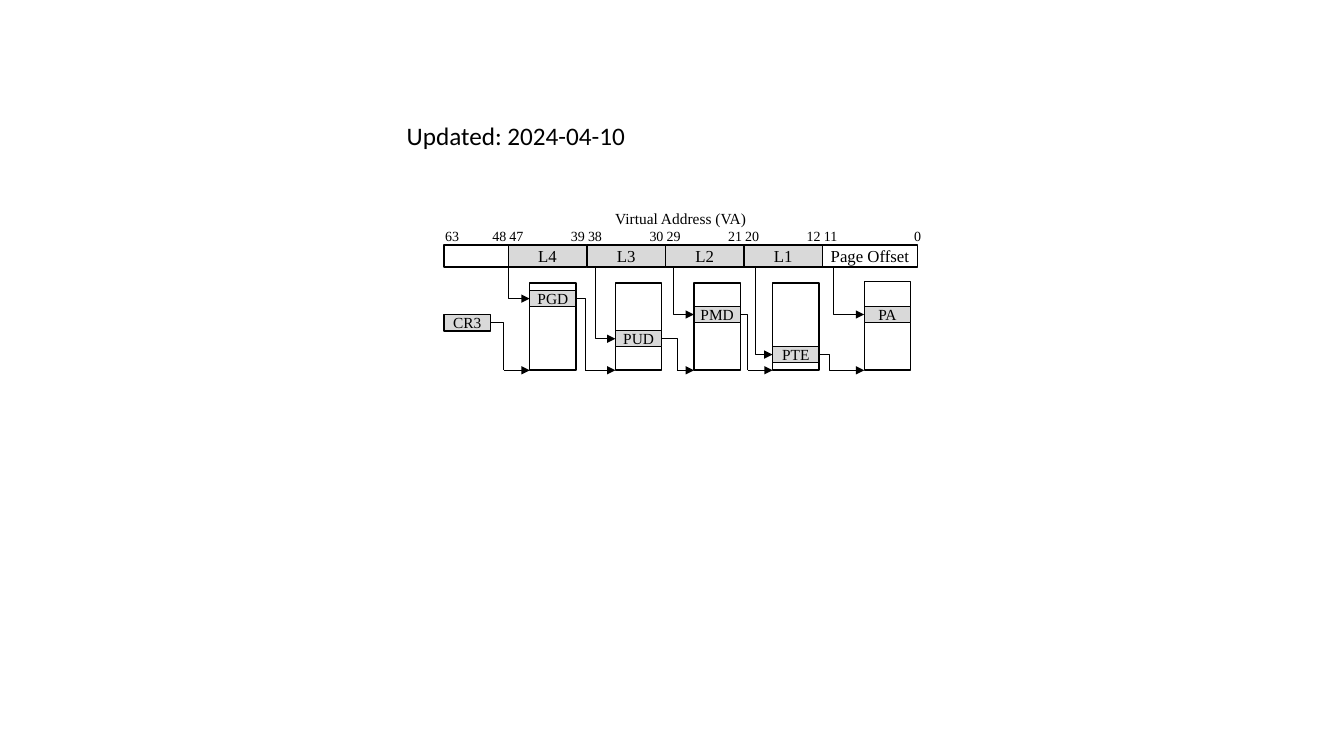
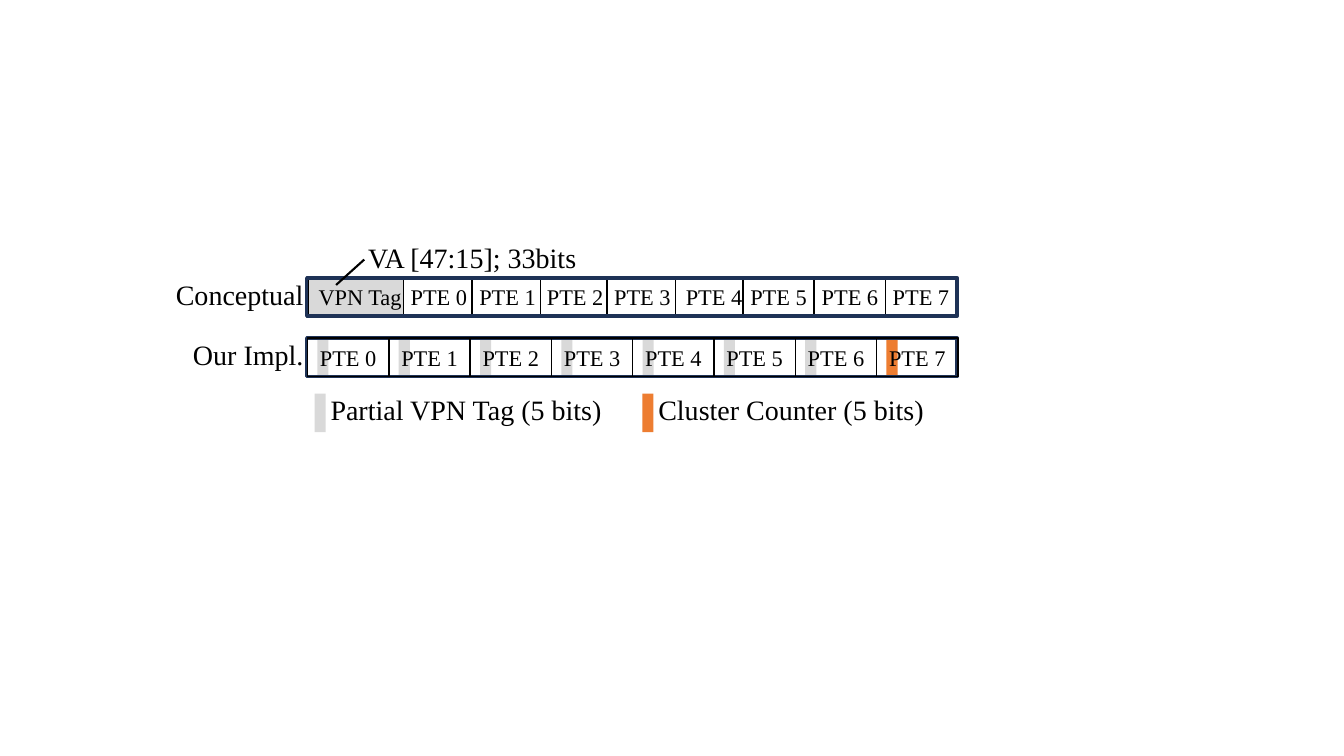
from itertools import accumulate

from lxml import etree
from pptx import Presentation
from pptx.dml.color import RGBColor
from pptx.enum import shapes, text
from pptx.oxml import ns
from pptx.util import Cm, Pt

BLACK = RGBColor(0x00, 0x00, 0x00)
WHITE = RGBColor(0xFF, 0xFF, 0xFF)
GRAY = RGBColor(0xD9, 0xD9, 0xD9)
ORANGE = RGBColor(0xED, 0x7D, 0x31)
NAVY = RGBColor(0x1E, 0x32, 0x56)
SERIF = "Times New Roman"
CENTER, LEFT, RIGHT = text.PP_ALIGN.CENTER, text.PP_ALIGN.LEFT, text.PP_ALIGN.RIGHT
TOP, MIDDLE = text.MSO_ANCHOR.TOP, text.MSO_ANCHOR.MIDDLE
STRAIGHT, ELBOW = shapes.MSO_CONNECTOR.STRAIGHT, shapes.MSO_CONNECTOR.ELBOW
ONE_BEND, TWO_BENDS = "bentConnector2", "bentConnector3"

ADDRESS_FIELDS = [
    ("", 63, 48, 1.62, WHITE),
    ("L4", 47, 39, 1.98, GRAY),
    ("L3", 38, 30, 1.98, GRAY),
    ("L2", 29, 21, 1.98, GRAY),
    ("L1", 20, 12, 1.98, GRAY),
    ("Page Offset", 11, 0, 2.39, WHITE),
]
PAGE_TABLES = [
    ("PGD", 2.16, 1.87, 2.06, 1.62, 1.5, ONE_BEND),
    ("PUD", 4.32, 1.87, 3.07, 3.81, 3.56, ONE_BEND),
    ("PMD", 6.3, 1.87, 2.46, 5.79, 5.87, ONE_BEND),
    ("PTE", 8.28, 1.87, 3.47, 7.85, 7.65, ONE_BEND),
    ("PA", 10.59, 1.83, 2.46, 9.8, 9.95, TWO_BENDS),
]
CONCEPTUAL_CELLS = [
    (2.44, 1.78), (4.17, 1.78), (5.89, 1.75), (7.57, 1.78),
    (9.3, 1.93), (11, 1.78), (12.8, 1.78), (14.58, 1.8),
]


def write(shape, content, size=11, font=SERIF, align=CENTER, anchor=MIDDLE,
          spacing=None, wrap=True, insets=(0, 0, 0, 0)):
    """Put one formatted paragraph into a shape."""
    frame = shape.text_frame
    frame.word_wrap = wrap
    frame.vertical_anchor = anchor
    (frame.margin_left, frame.margin_top,
     frame.margin_right, frame.margin_bottom) = (Cm(inset) for inset in insets)
    paragraph = frame.paragraphs[0]
    paragraph.alignment = align
    if spacing:
        paragraph.line_spacing = spacing
    run = paragraph.add_run()
    run.text = content
    run.font.name = font
    run.font.size = Pt(size)
    run.font.color.rgb = BLACK


def add_label(slide, content, left, top, width, height, **style):
    """Add a text box."""
    box = slide.shapes.add_textbox(Cm(left), Cm(top), Cm(width), Cm(height))
    write(box, content, **style)


def add_box(slide, left, top, width, height, fill=None, line=BLACK, weight=1,
            content="", **style):
    """Add a rectangle, with text when given."""
    box = slide.shapes.add_shape(shapes.MSO_SHAPE.RECTANGLE,
                                 Cm(left), Cm(top), Cm(width), Cm(height))
    box.shadow.inherit = False
    if fill is None:
        box.fill.background()
    else:
        box.fill.solid()
        box.fill.fore_color.rgb = fill
    if line is None:
        box.line.fill.background()
    else:
        box.line.color.rgb = line
        box.line.width = Pt(weight)
    if content:
        write(box, content, **style)


def add_line(slide, start, end, weight=0.5, arrow=False, kind=STRAIGHT):
    """Add a connector, optionally with an arrowhead, and return it."""
    connector = slide.shapes.add_connector(
        kind, *(Cm(value) for value in (*start, *end)))
    connector.line.color.rgb = BLACK
    connector.line.width = Pt(weight)
    properties = connector.element.spPr
    if arrow:
        outline = properties.find(ns.qn("a:ln"))
        etree.SubElement(outline, ns.qn("a:tailEnd"), type="triangle")
    etree.SubElement(properties, ns.qn("a:effectLst"))
    return connector


def add_elbow(slide, start, end, preset=ONE_BEND):
    """Add an elbow that leaves its start sideways, and return it."""
    connector = add_line(slide, start, end, kind=ELBOW)
    connector.element.spPr.find(ns.qn("a:prstGeom")).set("prst", preset)
    return connector


def add_drop_arrow(slide, start, end):
    """Add an arrow that runs down and then right, as a turned elbow."""
    center_x, center_y = (start[0] + end[0]) / 2, (start[1] + end[1]) / 2
    half_width, half_height = (end[1] - start[1]) / 2, (end[0] - start[0]) / 2
    connector = add_line(slide, (center_x - half_width, center_y - half_height),
                         (center_x + half_width, center_y + half_height),
                         arrow=True, kind=ELBOW)
    properties = connector.element.spPr
    properties.find(ns.qn("a:prstGeom")).set("prst", ONE_BEND)
    transform = properties.find(ns.qn("a:xfrm"))
    transform.set("rot", str(270 * 60000))
    transform.set("flipH", "1")


def draw_address_bar(slide, left, top):
    """Draw the virtual address with its fields and bit numbers."""
    widths = [field[3] for field in ADDRESS_FIELDS]
    starts = accumulate(widths[:-1], initial=left)
    add_label(slide, "Virtual Address (VA)", left, top, sum(widths), 0.48, anchor=TOP)
    for start, (name, high, low, width, fill) in zip(starts, ADDRESS_FIELDS):
        add_box(slide, start, top + 0.91, width, 0.56, fill, content=name, size=12)
        low_shift = 0.43 if low else 0.2
        for bit, bit_left in ((high, start), (low, start + width - low_shift)):
            add_label(slide, str(bit), bit_left, top + 0.47, 0.41, 0.43,
                      size=10, anchor=TOP)


def draw_page_walk(slide, left, top):
    """Draw the page tables and the arrows that lead through them."""
    width, height = 1.17, 0.41
    base, bar_bottom = top + 4.07, top + 1.47
    source_left, source_top = left, top + 2.67
    add_box(slide, source_left, source_top, width, height, GRAY, content="CR3")
    for name, table_x, table_y, entry_y, drop_x, feed_x, preset in PAGE_TABLES:
        table_left, table_top, entry_top = left + table_x, top + table_y, top + entry_y
        add_box(slide, table_left, table_top, width, base - table_top, WHITE)
        add_box(slide, table_left, entry_top, width, height, GRAY, content=name)
        add_drop_arrow(slide, (left + drop_x, bar_bottom),
                       (table_left, entry_top + height / 2))
        corner = (left + feed_x, base)
        add_elbow(slide, (source_left + width, source_top + height / 2), corner, preset)
        add_line(slide, corner, (table_left, base), arrow=True)
        source_left, source_top = table_left, entry_top


def draw_row_label(slide, content, left, top, height):
    """Write a row's name to the left of the row."""
    add_label(slide, content, left - 3.68, top, 3.6, height,
              size=20, align=RIGHT, spacing=0.8)


def draw_conceptual_row(slide, left, top, width, height):
    """Draw the cluster with one full tag and eight entries."""
    add_box(slide, left + 0.03, top, 2.49, height, GRAY, content="VPN Tag",
            size=16, insets=(0.14, 0, 0, 0))
    for index, (start, cell_width) in enumerate(CONCEPTUAL_CELLS):
        add_box(slide, left + start, top, cell_width, height, WHITE,
                content=f"PTE {index}", size=16)
    add_box(slide, left, top, width, height, line=NAVY, weight=2.5)
    draw_row_label(slide, "Conceptual", left, top, height)


def draw_implementation_row(slide, left, top, width, height):
    """Draw the cluster whose entries each hold a part of the tag."""
    count = 8
    pitch = width / count
    starts = [left + 0.02 + index * pitch for index in range(count)]
    for index, start in enumerate(starts):
        add_box(slide, start + 0.25, top, 0.28, height,
                ORANGE if index == count - 1 else GRAY, line=None)
    add_box(slide, left, top, width, height, line=NAVY, weight=2.5)
    for index, start in enumerate(starts):
        add_box(slide, start, top, pitch, height, content=f"PTE {index}", size=16)
    draw_row_label(slide, "Our Impl.", left, top, height)


def draw_legend(slide, left, top, height):
    """Explain the two marker colours."""
    for offset, fill, meaning in ((0.2, GRAY, "Partial VPN Tag (5 bits)"),
                                  (8.46, ORANGE, "Cluster Counter (5 bits)")):
        add_box(slide, left + offset, top, 0.28, height, fill, line=None)
        add_label(slide, meaning, left + offset + 0.4, top, 7.2, height,
                  size=20, align=LEFT, spacing=0.8)


def build_page_walk_slide(slide, left, top):
    """Build the slide on address translation."""
    draw_address_bar(slide, left, top)
    draw_page_walk(slide, left, top)
    add_label(slide, "Updated: 2024-04-10", 10, 2.9, 6.07, 1.02, size=18,
              font="Calibri", align=LEFT, anchor=TOP, wrap=False,
              insets=(0.25, 0.13, 0.25, 0.13))


def build_cluster_slide(slide, left, top):
    """Build the slide on the layout of a cluster."""
    width, height = 16.39, 0.97
    add_label(slide, "VA [47:15]; 33bits", left + 1.45, top, 5.44, 0.64,
              size=20, spacing=0.8)
    draw_conceptual_row(slide, left, top + 0.76, width, height)
    draw_implementation_row(slide, left, top + 2.28, width, height)
    draw_legend(slide, left, top + 3.68, height)
    add_line(slide, (left + 1.45, top + 0.3), (left + 0.74, top + 0.94), weight=1.5)


def main():
    """Build and save the presentation."""
    presentation = Presentation()
    presentation.slide_width, presentation.slide_height = Cm(33.87), Cm(19.05)
    blank = presentation.slide_layouts[6]
    build_page_walk_slide(presentation.slides.add_slide(blank), 11.19, 5.26)
    build_cluster_slide(presentation.slides.add_slide(blank), 7.73, 6.24)
    presentation.save("out.pptx")


if __name__ == "__main__":
    main()
